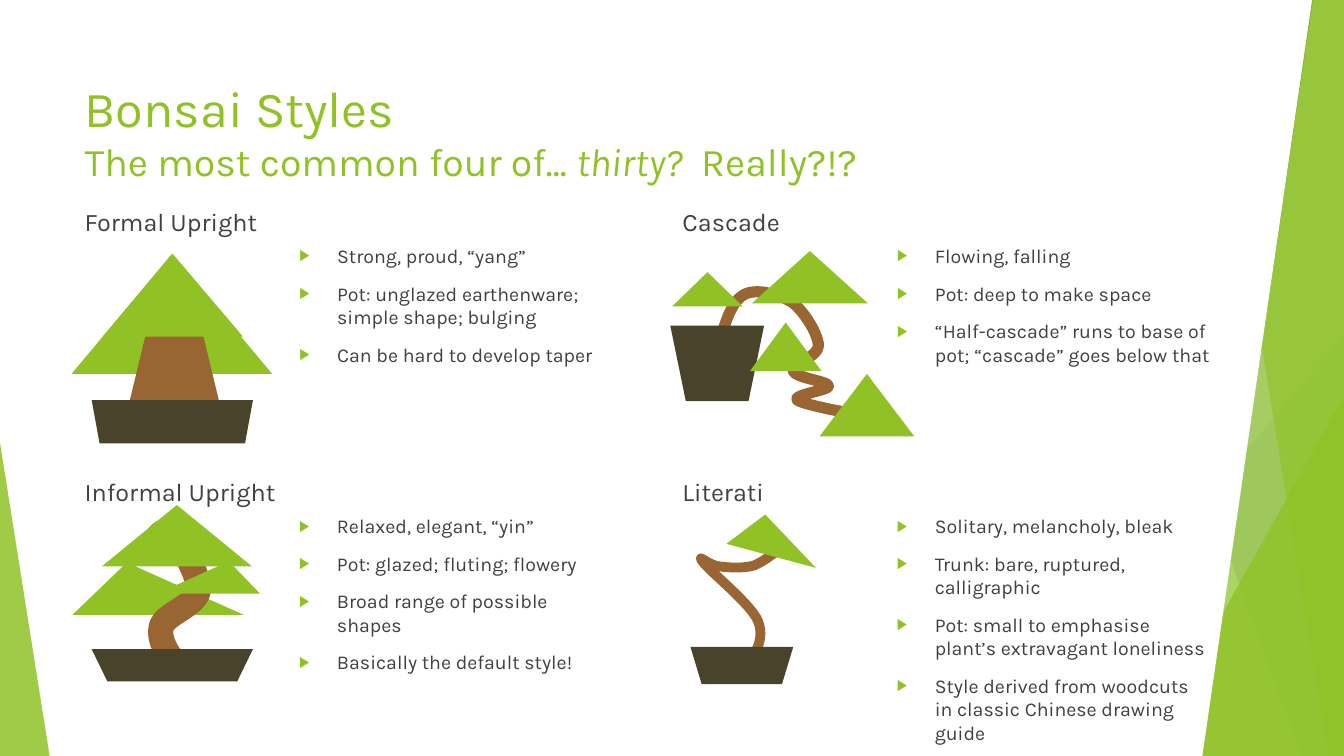
"""Build the Bonsai Styles slide."""
from lxml import etree
from pptx import Presentation
from pptx import util as u
from pptx.dml.color import RGBColor
from pptx.enum import shapes, text
from pptx.oxml.ns import qn

Pt = u.Pt
KIND = shapes.MSO_SHAPE
GREEN, BROWN, POT, INK = "90C226", "996633", "48432A", "404040"


class Canvas:
    """Hold the style and the current slide, with a method per kind of element."""

    font = "Karla"

    def __init__(self, prs):
        self.s = prs.slides.add_slide(prs.slide_layouts[4])
        self.spare = iter(list(self.s.placeholders))

    def paint(self, fmt, color, opacity=100):
        fmt.solid()
        fmt.fore_color.rgb = RGBColor.from_string(color)
        if opacity < 100:
            clr = fmt._xPr.find(".//" + qn("a:srgbClr"))
            etree.SubElement(clr, qn("a:alpha"), val=str(opacity * 1000))

    def line(self, x1, y1, x2, y2, color):
        c = self.s.shapes.add_connector(
            shapes.MSO_CONNECTOR.STRAIGHT, Pt(x1), Pt(y1), Pt(x2), Pt(y2))
        self.paint(c.line.fill, color)
        c.line.width = Pt(0.75)
        etree.SubElement(c.element.spPr, qn("a:effectLst"))

    def shape(self, kind, box, color, adj=None, opacity=100, rotation=0):
        sp = self.s.shapes.add_shape(kind, *map(Pt, box))
        sp.shadow.inherit = False
        self.paint(sp.fill, color, opacity)
        sp.line.fill.background()
        sp.rotation = rotation
        if adj is not None:
            sp.adjustments[0] = adj
        return sp

    def leaf(self, *box, adj=0.5, color=GREEN, opacity=100, rotation=0):
        self.shape(KIND.ISOSCELES_TRIANGLE, box, color, adj, opacity, rotation)

    def pot(self, *box, adj):
        sp = self.shape(KIND.TRAPEZOID, box, POT, adj)
        sp.element.spPr.get_or_add_xfrm().set("flipV", "1")

    def outline(self, points, close):
        pts = [(Pt(x), Pt(y)) for x, y in points]
        fb = self.s.shapes.build_freeform(*pts[0])
        fb.add_line_segments(pts[1:], close=close)
        sp = fb.convert_to_shape()
        sp.shadow.inherit = False
        return sp

    def facet(self, top, bottom, color, opacity):
        sp = self.outline([(top, 0), (960, 0), (960, 540), (bottom, 540)], True)
        self.paint(sp.fill, color, opacity)
        sp.line.fill.background()

    def trunk(self, width, points):
        sp = self.outline(points, False)
        sp.fill.background()
        self.paint(sp.line.fill, BROWN)
        sp.line.width = Pt(width)
        track = sp.element.find(".//" + qn("a:path"))
        steps = track.findall(qn("a:lnTo"))
        for i in range(0, len(steps), 3):
            curve = etree.SubElement(track, qn("a:cubicBezTo"))
            for step in steps[i:i + 3]:
                curve.append(step[0])
                track.remove(step)

    def frame(self, box, anchor):
        sp = next(self.spare, None) or self.s.shapes.add_textbox(0, 0, 0, 0)
        self.s.shapes.element.append(sp.element)
        sp.left, sp.top, sp.width, sp.height = map(Pt, box)
        tf = sp.text_frame
        tf.word_wrap = True
        tf.auto_size = text.MSO_AUTO_SIZE.NONE
        tf.vertical_anchor = anchor
        return tf

    def run(self, p, words, size, color=INK, italic=False):
        r = p.add_run()
        r.text = words
        f = r.font
        f.name, f.size, f.bold, f.italic = self.font, Pt(size), False, italic
        self.paint(f.fill, color)

    def title(self, box, first, rest):
        p = self.frame(box, text.MSO_ANCHOR.MIDDLE).paragraphs[0]
        p.alignment = text.PP_ALIGN.LEFT
        self.run(p, first, 36, GREEN)
        p.add_line_break()
        for words, italic in rest:
            self.run(p, words, 28, GREEN, italic)

    def heading(self, box, words):
        p = self.frame(box, text.MSO_ANCHOR.MIDDLE).paragraphs[0]
        p.space_before = Pt(10)
        self.run(p, words, 18)

    def bullets(self, box, items):
        tf = self.frame(box, text.MSO_ANCHOR.TOP)
        for i, item in enumerate(items):
            p = tf.add_paragraph() if i else tf.paragraphs[0]
            p.space_before = Pt(10)
            self.run(p, item, 14)
            pPr = p._p.get_or_add_pPr()
            pPr.set("marL", str(Pt(27)))
            pPr.set("indent", str(-Pt(27)))
            clr = etree.SubElement(pPr, qn("a:buClr"))
            etree.SubElement(clr, qn("a:srgbClr"), val=GREEN)
            etree.SubElement(pPr, qn("a:buSzPct"), val="80000")
            etree.SubElement(pPr, qn("a:buFont"), typeface="Arial")
            etree.SubElement(pPr, qn("a:buChar"), char="▶")


STYLES = [
    ("Formal Upright", 0, 0, 238.3, 131.8, [
        "Strong, proud, “yang”",
        "Pot: unglazed earthenware; simple shape; bulging",
        "Can be hard to develop taper"]),
    ("Cascade", 1, 0, 251.3, 131.8, [
        "Flowing, falling",
        "Pot: deep to make space",
        "“Half-cascade” runs to base of pot; “cascade” goes below that"]),
    ("Informal Upright", 0, 1, 238.3, 123.1, [
        "Relaxed, elegant, “yin”",
        "Pot: glazed; fluting; flowery",
        "Broad range of possible shapes",
        "Basically the default style!"]),
    ("Literati", 1, 1, 238.3, 164.9, [
        "Solitary, melancholy, bleak",
        "Trunk: bare, ruptured, calligraphic",
        "Pot: small to emphasise plant’s extravagant loneliness",
        "Style derived from woodcuts in classic Chinese drawing guide"]),
]
INFORMAL_TRUNK = [
    (126.7, 476.6), (119.5, 466.6), (113, 457.2), (115.2, 447.8), (117.4, 438.5),
    (140.4, 432.7), (141.8, 421.2), (142.6, 410.4), (127.4, 385.2), (121.7, 380.2),
    (115.9, 375.1), (108.7, 390.2), (106.6, 391.7)]
CASCADE_TRUNK = [
    (511.9, 251.3), (517, 234), (521.3, 216.7), (530.6, 211), (539.3, 205.2),
    (556.6, 210.2), (565.9, 216), (574.6, 222.5), (584.6, 239), (584.6, 247),
    (584.6, 254.9), (565.2, 259.9), (566.6, 265), (568.1, 270), (591.8, 272.2),
    (591.8, 275.8), (592.6, 278.6), (565.2, 282.2), (569.5, 285.8),
    (574.6, 289.4), (616.3, 297.4), (621.4, 296.6)]
LITERATI_TRUNK = [
    (532.8, 476.6), (540, 466.6), (546.5, 455.8), (541.4, 443.5), (536.4, 431.3),
    (506.2, 407.5), (501.8, 401), (496.8, 394.6), (507.6, 404.6), (514.1, 404.6),
    (519.8, 405.4), (531.4, 406.1), (538.6, 403.9), (545.8, 401), (555.1, 393.8),
    (557.3, 391), (559.4, 388.8), (554.4, 388.1), (550.8, 387.4),
    (546.5, 387.4), (539.3, 387.4), (532.8, 387.4)]


def main():
    prs = Presentation()
    prs.slide_width, prs.slide_height = Pt(960), Pt(540)
    c = Canvas(prs)

    c.line(738, 0, 833.8, 540, "BFBFBF")
    c.line(960, 290.2, 584.6, 540, "D9D9D9")
    c.facet(884, 723, GREEN, 30)
    c.facet(756, 852, GREEN, 20)
    c.leaf(703.5, 240, 256.5, 300, adj=1, color="54A021", opacity=72)
    c.facet(735, 929.5, "3F7819", 70)
    c.facet(938, 858, "C0E474", 70)
    c.facet(861, 949, GREEN, 65)
    c.leaf(816.5, 283, 143.5, 257, adj=1, opacity=80)
    c.leaf(0, 316, 35.5, 224, adj=0, opacity=85)

    c.leaf(51.8, 401.8, 122.4, 37.4, adj=0.317)
    c.leaf(51.1, 181.4, 143.3, 85.7)
    panel = c.shape(KIND.PARALLELOGRAM, (537.8, -1.4, 398.9, 541.4), "FFFFFF", 0.197)
    c.paint(panel.line.fill, "FFFFFF")
    panel.line.width = Pt(1.5)

    c.title((53.3, 48.2, 795.6, 90.7), "Bonsai Styles", [
        ("The most common four of… ", False), ("thirty?", True), ("  Really?!?", False)])
    for name, col, row, width, height, items in STYLES:
        x, y = 53.3 + 427 * col, 142.6 + 193 * row
        c.heading((x, y, 203, 31), name)
        c.bullets((x + 153.3, y + 28, width, height), items)

    c.shape(KIND.TRAPEZOID, (90.7, 224.6, 67.7, 69.8), BROWN)
    c.leaf(73.4, 181.4, 100.1, 59)
    c.pot(65.5, 285.8, 115.2, 31, adj=0.182)

    c.trunk(18, INFORMAL_TRUNK)
    c.pot(65.5, 463.7, 115.2, 23, adj=0.487)
    c.leaf(72.7, 360.7, 107.3, 43.9)

    c.trunk(8, CASCADE_TRUNK)
    c.pot(478.8, 232.6, 67, 54, adj=0.206)
    c.leaf(537.1, 179.3, 82.8, 37.4)
    c.leaf(480.2, 194.4, 50.4, 24.5)
    c.leaf(535.7, 230.4, 51.1, 34.6)
    c.leaf(585.4, 267.1, 67.7, 44.6)

    c.trunk(7, LITERATI_TRUNK)
    c.leaf(521.3, 370.1, 66.2, 27.4, adj=0.323, rotation=15)
    c.pot(493.2, 462.2, 73.4, 26.6, adj=0.302)
    c.leaf(112.3, 401, 73.4, 23, adj=0.698)
    prs.save("out.pptx")


if __name__ == "__main__":
    main()
